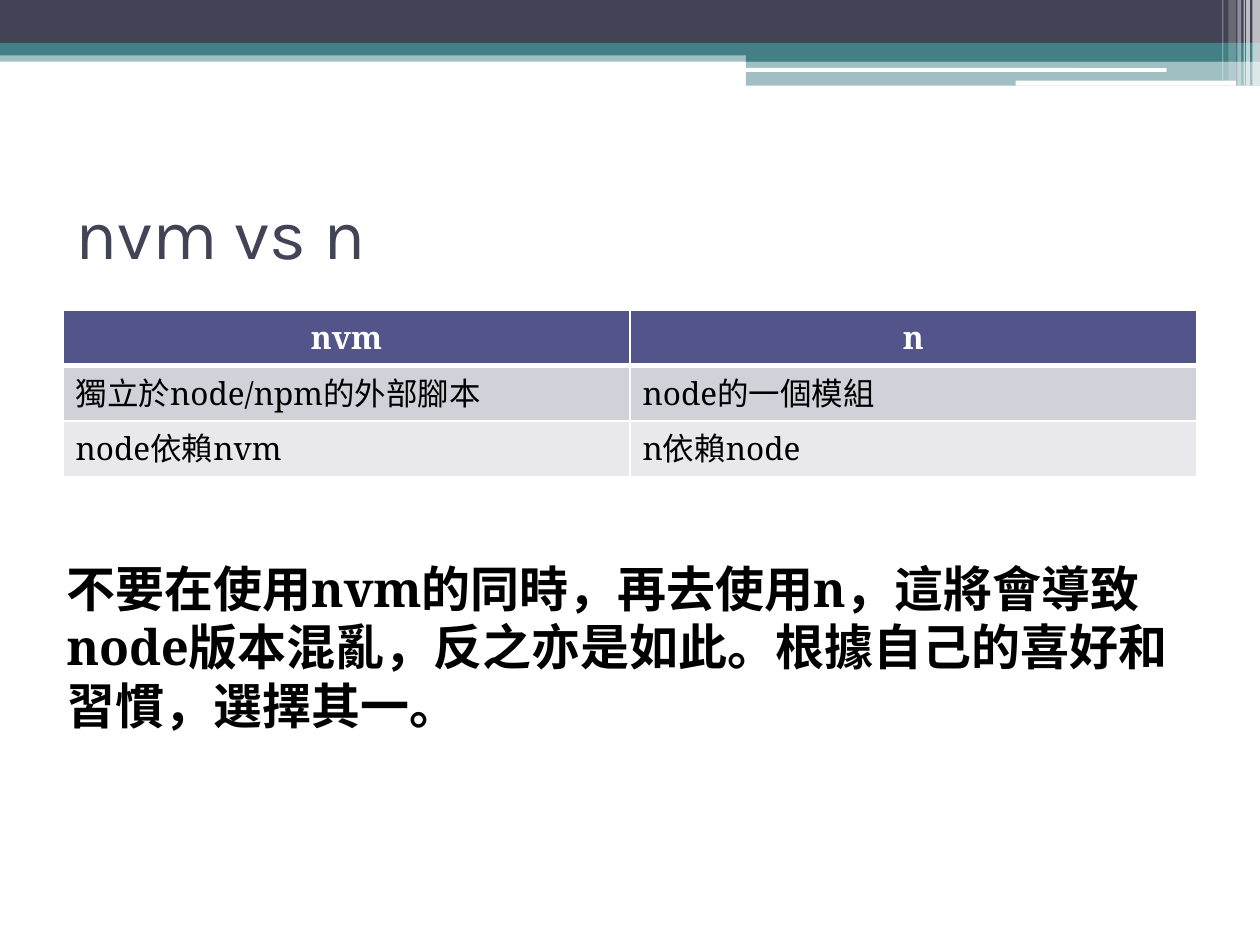
from lxml import etree
from pptx import Presentation
from pptx.dml.color import RGBColor
from pptx.enum import shapes, text
from pptx.oxml import ns
from pptx.util import Inches, Pt

NAVY = RGBColor(0x42, 0x44, 0x56)
TEAL = RGBColor(0x43, 0x80, 0x86)
WHITE = RGBColor(0xFF, 0xFF, 0xFF)
BLACK = RGBColor(0, 0, 0)
HEADER = RGBColor(0x53, 0x54, 0x8A)
BANDS = [RGBColor(0xD1, 0xD1, 0xDA), RGBColor(0xE9, 0xE9, 0xED)]
RECT = shapes.MSO_SHAPE.RECTANGLE
ROUND = shapes.MSO_SHAPE.ROUNDED_RECTANGLE


class Deck:
    """Style and current slide."""

    title_font, body_font = "Karla", "Noto Serif"

    def __init__(self, prs):
        """Add a title-only slide."""
        self.slide = prs.slides.add_slide(prs.slide_layouts[5])

    def style(self, p, size, color, font, bold=False):
        """Format every run of a paragraph."""
        for r in p.runs:
            f = r.font
            f.size, f.bold, f.name = Pt(size), bold, font
            f.color.rgb = color
            ea = etree.SubElement(r._r.get_or_add_rPr(), ns.qn("a:ea"))
            ea.set("typeface", font)

    def bar(self, box, color, alpha=100, kind=RECT):
        """Draw a plain bar with an opacity in percent."""
        sp = self.slide.shapes.add_shape(kind, *map(Inches, box))
        sp.shadow.inherit = False
        sp.line.fill.background()
        sp.fill.solid()
        sp.fill.fore_color.rgb = color
        if alpha < 100:
            clr = sp._element.spPr.find(".//" + ns.qn("a:srgbClr"))
            etree.SubElement(clr, ns.qn("a:alpha")).set("val", str(alpha * 1000))

    def title(self, words, box):
        """Place and format the title placeholder."""
        sp = self.slide.shapes.title
        sp.left, sp.top, sp.width, sp.height = map(Inches, box)
        tf = sp.text_frame
        tf.text = words
        tf.vertical_anchor = text.MSO_ANCHOR.MIDDLE
        p = tf.paragraphs[0]
        p.alignment = text.PP_ALIGN.LEFT
        self.style(p, 40, NAVY, self.title_font)

    def note(self, words, box):
        """Add a bold wrapped text box."""
        tf = self.slide.shapes.add_textbox(*map(Inches, box)).text_frame
        tf.word_wrap = True
        tf.auto_size = text.MSO_AUTO_SIZE.SHAPE_TO_FIT_TEXT
        tf.text = words
        self.style(tf.paragraphs[0], 28, BLACK, self.body_font, True)

    def borders(self, cell, widths):
        """Give a cell white borders, placed ahead of its fill."""
        tc_pr = cell._tc.get_or_add_tcPr()
        for i, (side, width) in enumerate(widths.items()):
            ln = etree.Element(ns.qn("a:ln" + side), w=str(Pt(width)))
            fill = etree.SubElement(ln, ns.qn("a:solidFill"))
            etree.SubElement(fill, ns.qn("a:srgbClr")).set("val", str(WHITE))
            tc_pr.insert(i, ln)

    def table(self, rows, box):
        """Add a table with a header row and banded body rows."""
        frame = self.slide.shapes.add_table(
            len(rows), len(rows[0]), *map(Inches, box))
        for i, row in enumerate(rows):
            head = i == 0
            for j, words in enumerate(row):
                cell = frame.table.cell(i, j)
                cell.text_frame.text = words
                p = cell.text_frame.paragraphs[0]
                p.alignment = text.PP_ALIGN.CENTER if head else text.PP_ALIGN.LEFT
                self.style(p, 18, WHITE if head else BLACK, self.body_font, head)
                cell.fill.solid()
                cell.fill.fore_color.rgb = HEADER if head else BANDS[(i - 1) % 2]
                self.borders(cell, {"L": 1, "R": 1, "T": 3 if i == 1 else 1,
                                    "B": 3 if head else 1})


def main():
    """Build the slide."""
    prs = Presentation()
    prs.slide_width, prs.slide_height = Inches(10), Inches(7.5)
    deck = Deck(prs)

    deck.bar((0, 0.4, 10, 0.09), TEAL, 50)
    deck.bar((0, 0, 10, 0.34), NAVY)
    deck.bar((0, 0.34, 10, 0.1), TEAL)
    deck.bar((5.92, 0.39, 4.08, 0.1), TEAL)
    deck.bar((5.92, 0.48, 4.08, 0.2), TEAL, 50)
    deck.bar((5.91, 0.54, 3.35, 0.03), WHITE, kind=ROUND)
    deck.bar((8.06, 0.64, 1.75, 0.04), WHITE, kind=ROUND)
    stripes = [(9.94, 0.06, 0.68, 65), (9.89, 0.03, 0.68, 65),
               (9.87, 0.01, 0.68, 60), (9.82, 0.03, 0.68, 40),
               (9.75, 0.06, 0.64, 20), (9.7, 0.01, 0.64, 30)]
    for left, width, height, alpha in stripes:
        deck.bar((left, 0, width, height), WHITE, alpha)

    deck.title("nvm vs n", (0.5, 1.25, 9, 1.17))
    deck.table([("nvm", "n"),
                ("獨立於node/npm的外部腳本", "node的一個模組"),
                ("node依賴nvm", "n依賴node")], (0.5, 2.46, 9, 1.22))
    deck.note("不要在使用nvm的同時，再去使用n，這將會導致node版本混亂，"
              "反之亦是如此。根據自己的喜好和習慣，選擇其一。",
              (0.43, 4.38, 9.06, 1.51))
    prs.save("out.pptx")


main()
